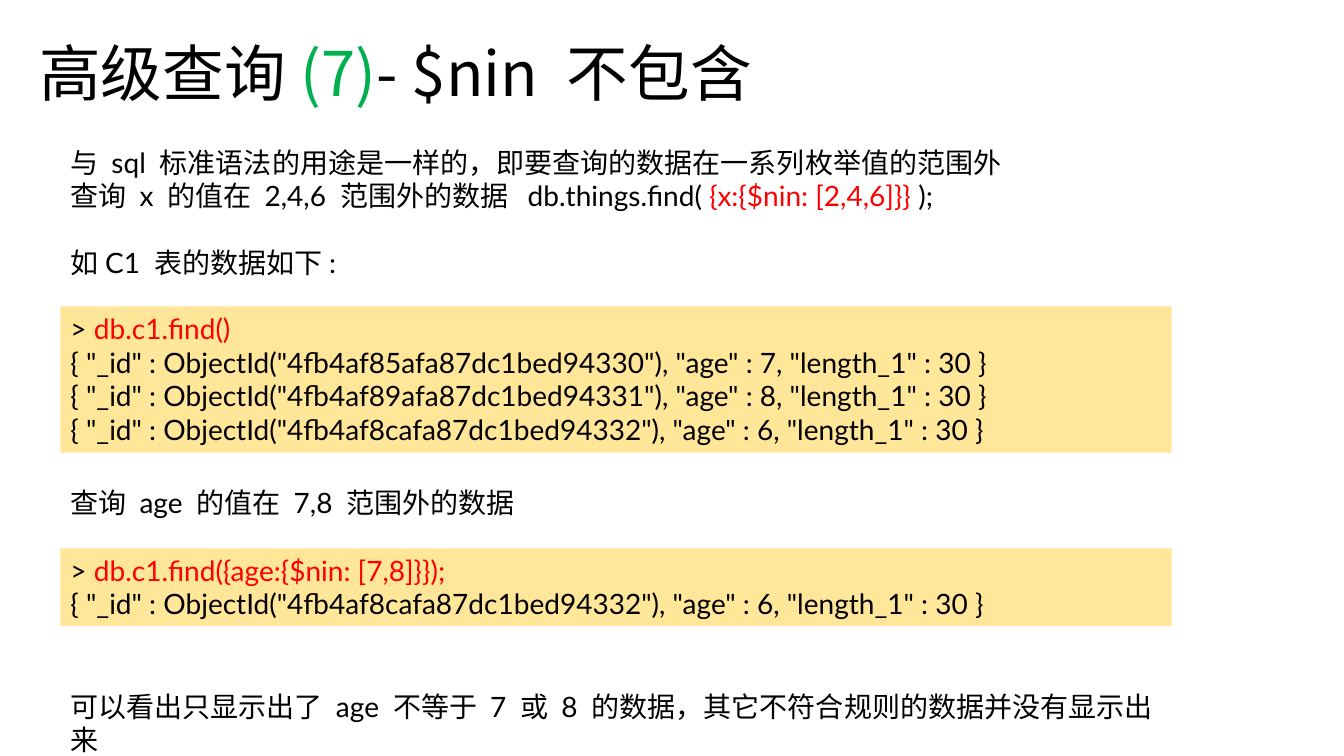
from lxml.etree import SubElement
from pptx import Presentation
from pptx.dml.color import RGBColor
from pptx.enum.shapes import MSO_SHAPE
from pptx.enum.text import MSO_ANCHOR, MSO_AUTO_SIZE, PP_ALIGN
from pptx.oxml.ns import qn
from pptx.util import Inches, Pt

BLACK = RGBColor(0x00, 0x00, 0x00)
GREEN = RGBColor(0x00, 0xB0, 0x50)
RED = RGBColor(0xFF, 0x00, 0x00)
CODE_FILL = RGBColor(0xFF, 0xE6, 0x99)
CJK_FONT = "Noto Sans CJK SC"
BODY_FONT = "Lato"
BODY_SIZE = 20

TITLE = [("高级查询", BLACK), ("(7)", GREEN), ("- $nin 不包含", BLACK)]


def record(object_id, age):
    return [(f'{{ "_id" : ObjectId("{object_id}"), "age" : {age}, "length_1" : 30 }}', BLACK)]


def command(text):
    return [("> ", BLACK), (text, RED)]


RECORDS = [
    record("4fb4af85afa87dc1bed94330", 7),
    record("4fb4af89afa87dc1bed94331", 8),
    record("4fb4af8cafa87dc1bed94332", 6),
]
INTRO = [
    [("与 sql 标准语法的用途是一样的，即要查询的数据在一系列枚举值的范围外", BLACK)],
    [("查询 x 的值在 2,4,6 范围外的数据  db.things.find( ", BLACK),
     ("{x:{$nin: [2,4,6]}} ", RED), (");", BLACK)],
    [("如C1 表的数据如下:", BLACK)],
]
# (top, height, is code, lines)
BLOCKS = [
    (1.39, 1.45, False, INTRO),
    (3.04, 1.45, True, [command("db.c1.find()")] + RECORDS),
    (4.77, 0.44, False, [[("查询 age 的值在 7,8 范围外的数据", BLACK)]]),
    (5.44, 0.77, True, [command("db.c1.find({age:{$nin: [7,8]}});"), RECORDS[-1]]),
    (6.79, 0.44, False,
     [[("可以看出只显示出了 age 不等于 7 或 8 的数据，其它不符合规则的数据并没有显示出来", BLACK)]]),
]
BLOCK_LEFT, BLOCK_WIDTH = 0.6, 11.02


def add_spans(para, spans, font_name, size):
    para.alignment = PP_ALIGN.LEFT
    for text, color in spans:
        span = para.add_run()
        span.text = text
        span.font.name = font_name
        span.font.size = Pt(size)
        span.font.color.rgb = color
        SubElement(span.font._element, qn("a:ea")).set("typeface", CJK_FONT)


def add_block(page, top, height, is_code, lines):
    area = [Inches(value) for value in (BLOCK_LEFT, top, BLOCK_WIDTH, height)]
    if is_code:
        box = page.shapes.add_shape(MSO_SHAPE.RECTANGLE, *area)
        box.shadow.inherit = False
        box.fill.solid()
        box.fill.fore_color.rgb = CODE_FILL
        box.line.fill.background()
    else:
        box = page.shapes.add_textbox(*area)
    frame = box.text_frame
    frame.word_wrap = True
    frame.vertical_anchor = MSO_ANCHOR.TOP
    frame.auto_size = MSO_AUTO_SIZE.SHAPE_TO_FIT_TEXT
    for index, spans in enumerate(lines):
        para = frame.add_paragraph() if index else frame.paragraphs[0]
        add_spans(para, spans, BODY_FONT, BODY_SIZE)
    return frame


def main():
    deck = Presentation()
    deck.slide_width, deck.slide_height = Inches(13.33), Inches(7.5)
    page = deck.slides.add_slide(deck.slide_layouts[5])

    title = page.shapes.title
    title.left, title.top = Inches(0.29), Inches(0.21)
    title.width, title.height = Inches(12.44), Inches(1.1)
    title.text_frame.vertical_anchor = MSO_ANCHOR.MIDDLE
    title.text_frame.auto_size = MSO_AUTO_SIZE.NONE
    heading = title.text_frame.paragraphs[0]
    heading.line_spacing = 0.9
    add_spans(heading, TITLE, CJK_FONT, 44)

    frames = [add_block(page, *block) for block in BLOCKS]
    frames[0].paragraphs[-1].space_before = Pt(BODY_SIZE * 1.2)

    deck.save("out.pptx")


if __name__ == "__main__":
    main()
